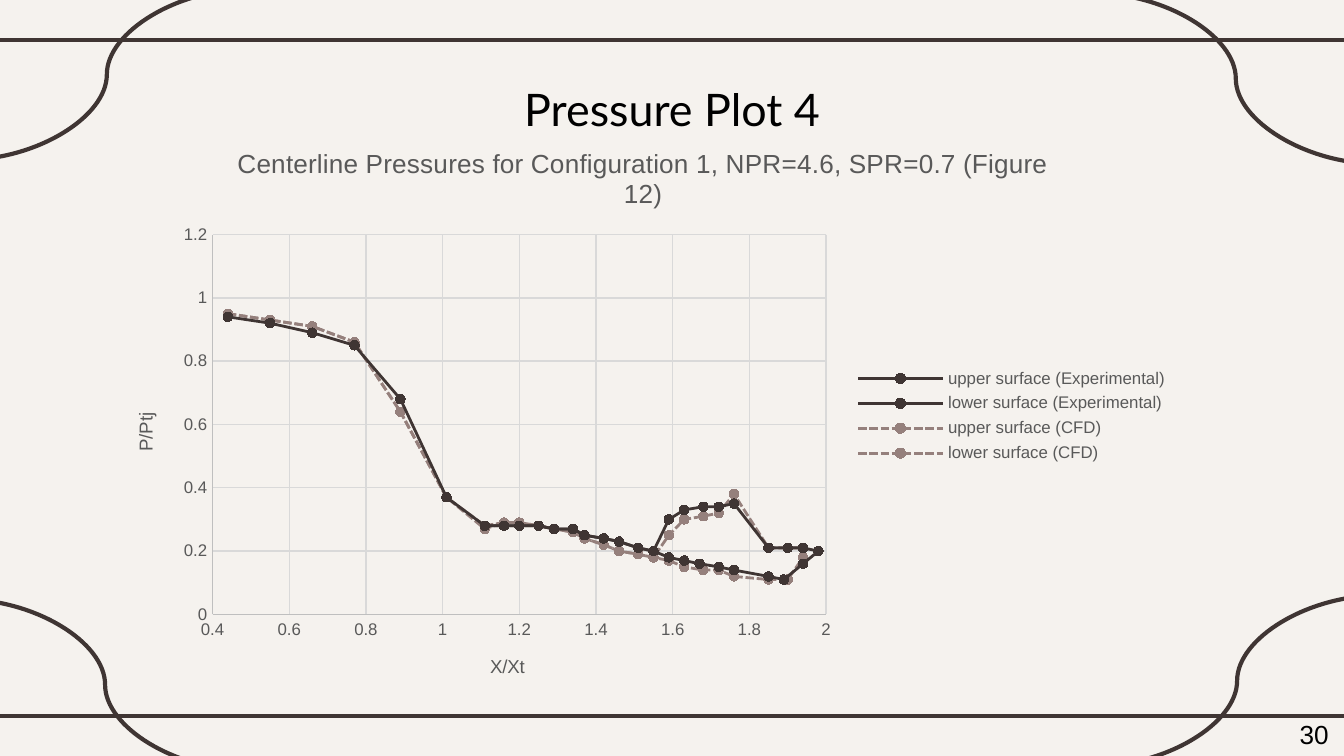
"""Build the "Pressure Plot 4" slide: a framed scatter chart of nozzle pressures."""
from typing import NamedTuple, Optional

from pptx import Presentation
from pptx.chart.data import XyChartData
from pptx.dml.color import RGBColor
from pptx.enum.chart import XL_CHART_TYPE as CT, XL_LEGEND_POSITION as LP
from pptx.enum.chart import XL_MARKER_STYLE as MS, XL_TICK_MARK as TM
from pptx.enum.dml import MSO_LINE as DASH
from pptx.enum.shapes import MSO_CONNECTOR as MC
from pptx.enum.text import MSO_ANCHOR as VA, PP_ALIGN as AL
from pptx.oxml import parse_xml
from pptx.oxml.ns import nsdecls
from pptx.util import Pt

PAPER = RGBColor(0xF5, 0xF2, 0xEE)
DARK = RGBColor(0x3F, 0x35, 0x33)
MAUVE = RGBColor(0x95, 0x80, 0x7C)
BLACK = RGBColor(0, 0, 0)
GRAY = RGBColor(0x59, 0x59, 0x59)
AXIS = RGBColor(0xBF, 0xBF, 0xBF)
GRID = RGBColor(0xD9, 0xD9, 0xD9)


class Stroke(NamedTuple):
    kind: MC
    x1: float
    y1: float
    x2: float
    y2: float


class Label(NamedTuple):
    text: str
    x: float
    y: float
    w: float
    h: float
    size: float
    font: str
    wrap: bool


class Curve(NamedTuple):
    name: str
    xs: list[float]
    ys: list[float]
    color: RGBColor
    dash: Optional[DASH] = None


STROKES = [
    Stroke(MC.STRAIGHT, -5.8, 21.6, 725.8, 21.6),
    Stroke(MC.STRAIGHT, -5.8, 383.8, 725.8, 383.8),
    Stroke(MC.CURVE, -19.4, 321.1, 132, 412.6),
    Stroke(MC.CURVE, 586.1, -3.6, 738, 87.8),
    Stroke(MC.CURVE, 738.7, 319, 586.8, 410.4),
    Stroke(MC.CURVE, 133.2, -5.8, -18.7, 85.7),
]
LABELS = [
    Label("Pressure Plot 4", 56.2, 35.3, 607.7, 45.4, 24, "Lato", True),
    Label("30", 689, 380.9, 30.2, 24.5, 14, "Arial", False),
]

X = [0.44, 0.55, 0.66, 0.77, 0.89, 1.01, 1.11, 1.16, 1.2, 1.25, 1.29, 1.34, 1.37,
     1.42, 1.46, 1.51, 1.55, 1.59, 1.63, 1.68, 1.72, 1.76, 1.85, 1.9, 1.94, 1.98]
X_LOWER = X[6:19] + [1.67, 1.72, 1.76, 1.85, 1.89, 1.94, 1.98]
EXP_INLET = [0.94, 0.92, 0.89, 0.85, 0.68, 0.37]
EXP_THROAT = [0.28, 0.28, 0.28, 0.28, 0.27, 0.27, 0.25, 0.24, 0.23, 0.21, 0.2]
EXP_UPPER = [0.3, 0.33, 0.34, 0.34, 0.35, 0.21, 0.21, 0.21, 0.2]
EXP_LOWER = [0.18, 0.17, 0.16, 0.15, 0.14, 0.12, 0.11, 0.16, 0.2]
CFD_INLET = [0.95, 0.93, 0.91, 0.86, 0.64, 0.37]
CFD_THROAT = [0.29, 0.29, 0.28, 0.27, 0.26, 0.24, 0.22, 0.2, 0.19, 0.18]
CFD_UPPER = [0.25, 0.3, 0.31, 0.32, 0.38, 0.21, 0.21, 0.21]
CFD_LOWER = [0.17, 0.15, 0.14, 0.14, 0.12, 0.11, 0.11, 0.18]

CURVES = [
    Curve("upper surface (Experimental)", X, EXP_INLET + EXP_THROAT + EXP_UPPER, DARK),
    Curve("lower surface (Experimental)", X_LOWER, EXP_THROAT + EXP_LOWER, DARK),
    Curve("upper surface (CFD)", X[:-1], CFD_INLET + [0.27] + CFD_THROAT + CFD_UPPER,
          MAUVE, DASH.SQUARE_DOT),
    Curve("lower surface (CFD)", X[:-1], CFD_INLET + [0.28] + CFD_THROAT + CFD_LOWER,
          MAUVE, DASH.SQUARE_DOT),
]


def style_font(font, size: float, color: RGBColor, name: str = "Arial") -> None:
    font.size, font.name, font.bold = Pt(size), name, False
    font.color.rgb = color


def style_line(line, color: RGBColor, width: float) -> None:
    line.color.rgb = color
    line.width = Pt(width)


def add_stroke(s, stroke: Stroke) -> None:
    ends = (Pt(v) for v in stroke[1:])
    cn = s.shapes.add_connector(stroke.kind, *ends)
    style_line(cn.line, DARK, 2.25)
    cn._element.spPr.append(parse_xml(f"<a:effectLst {nsdecls('a')}/>"))


def add_label(s, label: Label) -> None:
    sp = s.shapes.add_textbox(Pt(label.x), Pt(label.y), Pt(label.w), Pt(label.h))
    tf = sp.text_frame
    tf.word_wrap = label.wrap
    tf.vertical_anchor = VA.MIDDLE
    p = tf.paragraphs[0]
    p.alignment = AL.CENTER
    r = p.add_run()
    r.text = label.text
    style_font(r.font, label.size, BLACK, label.font)


def set_title(owner, text: str, size: float) -> None:
    r = owner.text_frame.paragraphs[0].add_run()
    r.text = text
    style_font(r.font, size, GRAY)


def style_axis(axis, title: str, low: float, high: float) -> None:
    axis.minimum_scale, axis.maximum_scale, axis.major_unit = low, high, 0.2
    axis.major_tick_mark = axis.minor_tick_mark = TM.NONE
    axis.has_major_gridlines = True
    style_line(axis.major_gridlines.format.line, GRID, 0.75)
    style_line(axis.format.line, AXIS, 0.75)
    style_font(axis.tick_labels.font, 9, GRAY)
    axis.tick_labels.number_format = "General"
    axis.tick_labels.number_format_is_linked = False
    set_title(axis.axis_title, title, 10)


def place_plot(chart, x: float, y: float, w: float, h: float) -> None:
    area = chart.element.xpath(".//c:plotArea")[0]
    for old in area.xpath("./c:layout"):
        area.remove(old)
    sizes = "".join(f'<c:{k} val="{v}"/>' for k, v in zip("xywh", (x, y, w, h)))
    area.insert(0, parse_xml(
        f'<c:layout {nsdecls("c")}><c:manualLayout><c:layoutTarget val="inner"/>'
        f'<c:xMode val="edge"/><c:yMode val="edge"/>{sizes}'
        '</c:manualLayout></c:layout>'))


def add_pressure_chart(s, curves: list[Curve]) -> None:
    data = XyChartData()
    for curve in curves:
        points = data.add_series(curve.name)
        for x, y in zip(curve.xs, curve.ys):
            points.add_data_point(x, y)
    chart = s.shapes.add_chart(CT.XY_SCATTER_LINES, Pt(56.2), Pt(66.2),
                               Pt(576.7), Pt(313.2), data).chart
    style_font(chart.font, 10, BLACK)
    chart.has_title = True
    chart.chart_title.include_in_layout = False
    set_title(chart.chart_title, "Centerline Pressures for Configuration 1, "
              "NPR=4.6, SPR=0.7 (Figure 12)", 14)
    style_axis(chart.category_axis, "X/Xt", 0.4, 2)
    style_axis(chart.value_axis, "P/Ptj", 0, 1.2)
    chart.has_legend = True
    chart.legend.position = LP.RIGHT
    chart.legend.include_in_layout = False
    style_font(chart.legend.font, 9, GRAY)
    plot = chart.plots[0]
    plot.vary_by_categories = False
    for series, curve in zip(plot.series, curves):
        series.smooth = False
        style_line(series.format.line, curve.color, 1.5)
        if curve.dash:
            series.format.line.dash_style = curve.dash
        marker = series.marker
        marker.style, marker.size = MS.CIRCLE, 5
        marker.format.fill.solid()
        marker.format.fill.fore_color.rgb = curve.color
        style_line(marker.format.line, curve.color, 0.75)
    place_plot(chart, 0.1, 0.19, 0.57, 0.65)


def main() -> None:
    prs = Presentation()
    prs.slide_width, prs.slide_height = Pt(720), Pt(405)
    s = prs.slides.add_slide(prs.slide_layouts[6])
    s.background.fill.solid()
    s.background.fill.fore_color.rgb = PAPER
    for stroke in STROKES:
        add_stroke(s, stroke)
    add_pressure_chart(s, CURVES)
    for label in LABELS:
        add_label(s, label)
    prs.save("out.pptx")


if __name__ == "__main__":
    main()
